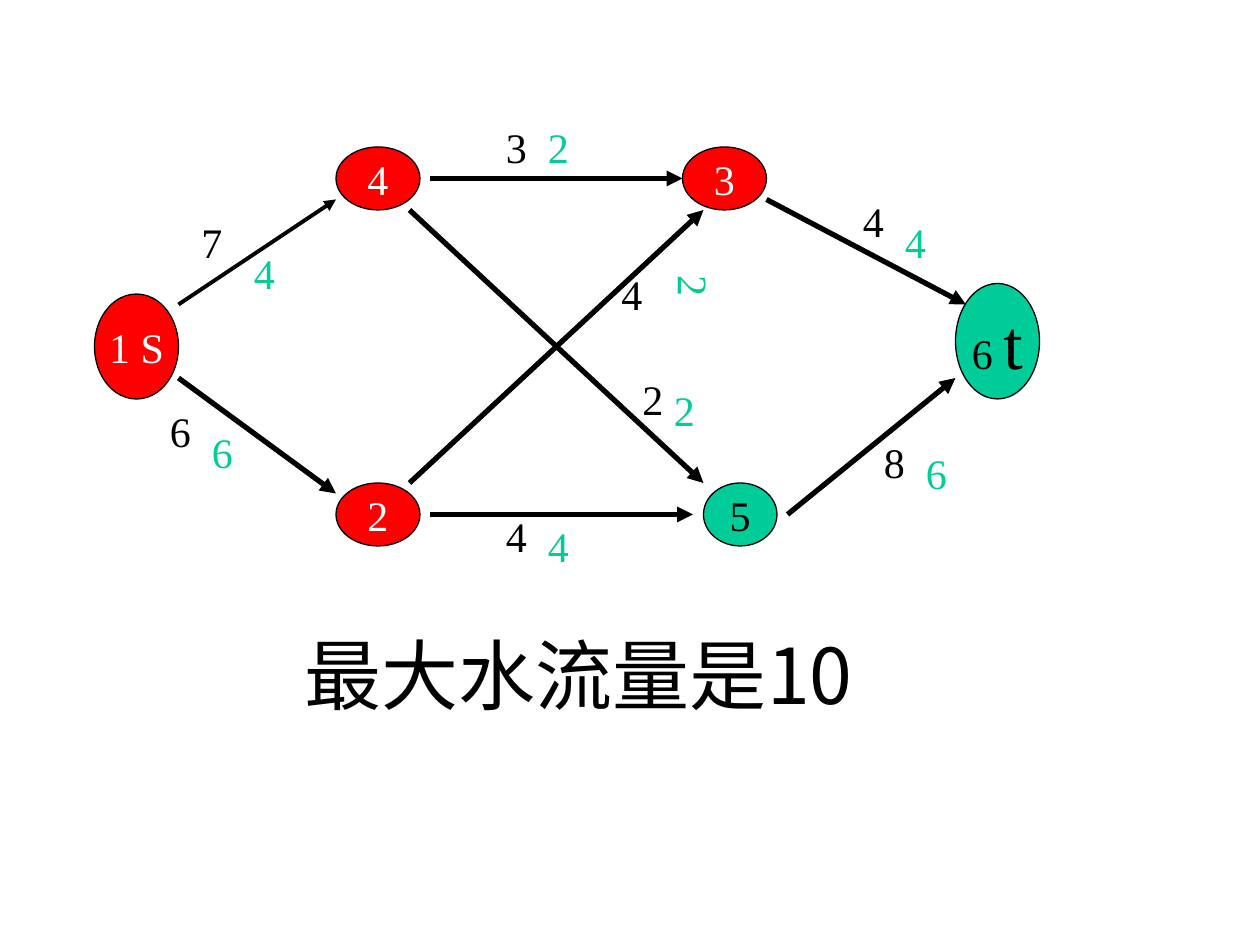
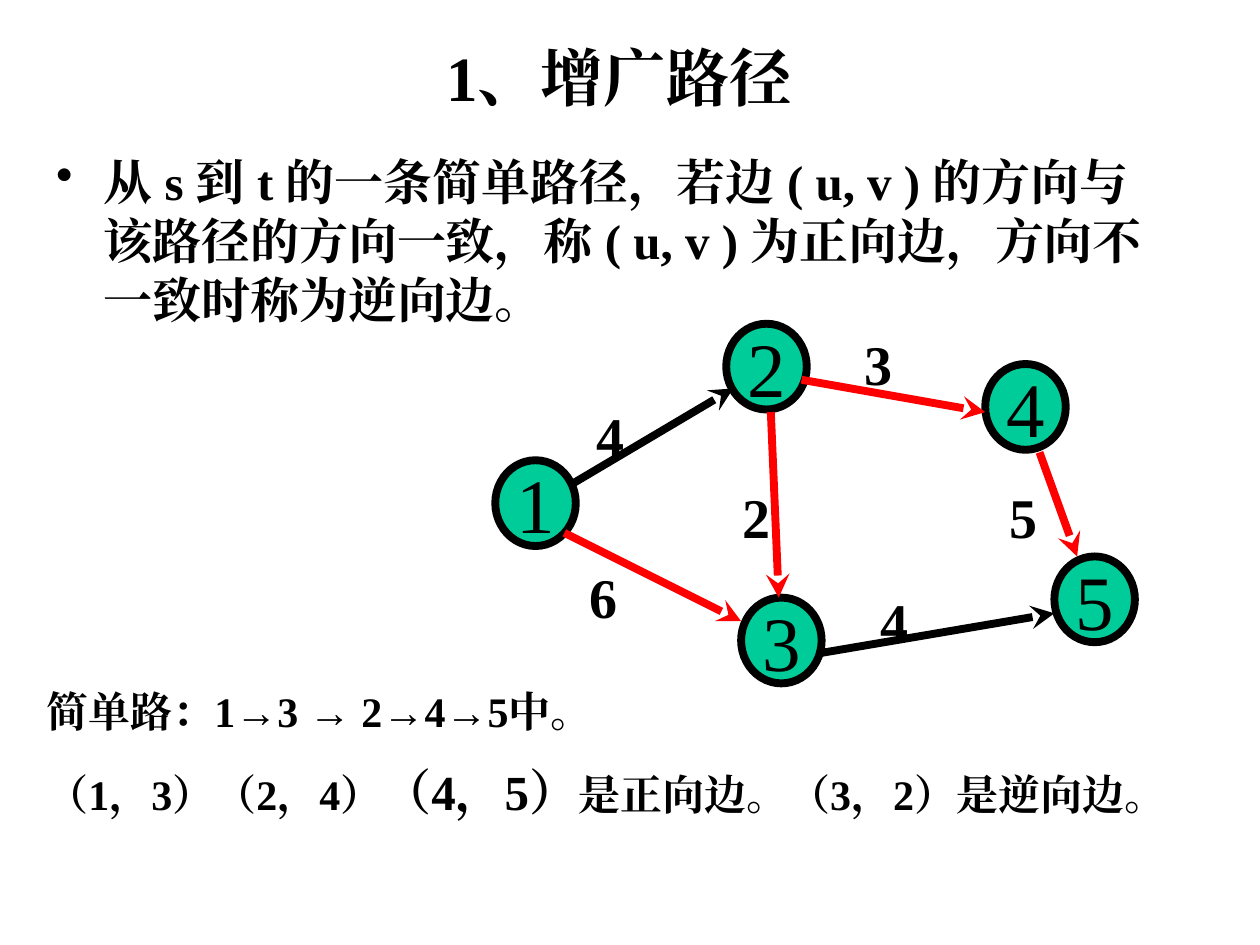
from lxml.etree import SubElement
from pptx import Presentation
from pptx.dml.color import RGBColor
from pptx.enum.shapes import MSO_CONNECTOR, MSO_SHAPE
from pptx.enum.text import MSO_ANCHOR, PP_ALIGN
from pptx.oxml.ns import qn
from pptx.util import Pt

COLORS = {"black": "000000", "white": "FFFFFF", "red": "FF0000", "green": "00CC99"}
SERIF, SANS, ARROW = "Times New Roman", "Noto Sans CJK SC", "Arial"

FLOW_NODES = [
    ([("1 S", 24)], (54, 168, 48, 60), "red", "white"),
    ([("4", 24)], (192, 84, 48, 36), "red", "white"),
    ([("3", 24)], (390, 84, 48, 36), "red", "white"),
    ([("2", 24)], (192, 276, 48, 36), "red", "white"),
    ([("5", 24)], (402, 276, 42, 36), "green", "black"),
    ([("6 ", 24), ("t", 40)], (546, 162, 48, 66), "green", "black"),
]
FLOW_EDGES = [
    ((102, 174), (192, 114), 2.25),
    ((102, 216), (192, 282), 3),
    ((246, 294), (396, 294), 3),
    ((246, 102), (390, 102), 3),
    ((438, 114), (552, 174), 3),
    ((450, 294), (546, 216), 3),
    ((234, 120), (402, 276), 3),
    ((234, 276), (402, 120), 3),
]
CAPACITIES = [
    ("7", 108, 120, 36), ("3", 282, 66, 66), ("4", 282, 288, 84), ("8", 498, 246, 66),
    ("4", 486, 108, 60), ("2", 360, 210, 78), ("4", 348, 150, 48), ("6", 90, 228, 54),
]
FLOWS = [
    ("4", 138, 138, 36), ("6", 114, 240, 26), ("2", 306, 66, 48), ("2", 378, 216, 26),
    ("4", 306, 294, 26), ("4", 510, 120, 26), ("6", 522, 252, 26),
]
SIDEWAYS_FLOW = ("2", (372, 150, 43, 42))
MAX_FLOW = "最大水流量是10"

TITLE = "1、增广路径"
DEFINITION = ("从 s 到 t 的一条简单路径，若边 ( u, v ) 的方向与该路径的方向一致，"
              "称 ( u, v ) 为正向边，方向不一致时称为逆向边。")
SIMPLE_PATH = ["简单路：1", "→", "3 ", "→", " 2", "→", "4", "→", "5中。"]
EDGE_KINDS = [("（1，3）（2，4）", 24), ("（4，5）", 28), ("是正向边。（3，2）是逆向边。", 24)]
PATH_NODES = [("1", 283, 263), ("2", 415, 185), ("4", 563, 208),
              ("3", 423.5, 341.5), ("5", 602.5, 318)]
PATH_EDGES = [
    ((327, 276.5), (419, 222), "black"),
    ((322.5, 304.5), (423.5, 355), "red"),
    ((458, 217), (563, 235.5), "red"),
    ((594, 258.5), (615.5, 318), "red"),
    ((440.5, 235.5), (445, 341.5), "red"),
    ((467, 373.5), (602.5, 350.5), "black"),
]
PATH_WEIGHTS = [("5", 570, 272), ("6", 330, 318), ("4", 334, 226),
                ("2", 417, 272), ("3", 487, 185), ("4", 496, 332)]


def rgb(color):
    return RGBColor.from_string(COLORS[color])


def style(font, size, color="black", bold=False, face=SERIF):
    font.size, font.bold, font.name = Pt(size), bold, face
    font.color.rgb = rgb(color)


def add_runs(paragraph, runs, color="black", bold=False):
    for text, size, *face in runs:
        run = paragraph.add_run()
        run.text = text
        style(run.font, size, color, bold, *face)
        set_east_asian(run, run.font.name)


def set_east_asian(run, face):
    latin = run._r.get_or_add_rPr().find(qn("a:latin"))
    east_asian = latin.makeelement(qn("a:ea"), {"typeface": face})
    latin.addnext(east_asian)


def add_text(slide, box, runs, color="black", bold=False):
    frame = slide.shapes.add_textbox(*map(Pt, box)).text_frame
    frame.word_wrap = True
    add_runs(frame.paragraphs[0], runs, color, bold)
    return frame


def add_node(slide, runs, box, fill, color, border):
    node = slide.shapes.add_shape(MSO_SHAPE.OVAL, *map(Pt, box))
    node.shadow.inherit = False
    node.fill.solid()
    node.fill.fore_color.rgb = rgb(fill)
    node.line.color.rgb = rgb("black")
    node.line.width = Pt(border)
    frame = node.text_frame
    frame.word_wrap = False
    frame.vertical_anchor = MSO_ANCHOR.MIDDLE
    frame.paragraphs[0].alignment = PP_ALIGN.CENTER
    add_runs(frame.paragraphs[0], runs, color)


def add_edge(slide, start, end, color, width, head):
    edge = slide.shapes.add_connector(MSO_CONNECTOR.STRAIGHT, *map(Pt, start + end))
    edge.line.color.rgb = rgb(color)
    edge.line.width = Pt(width)
    SubElement(edge.line._get_or_add_ln(), qn("a:tailEnd"), type=head)
    SubElement(edge._element.spPr, qn("a:effectLst"))


def build_max_flow(slide):
    for runs, box, fill, color in FLOW_NODES:
        add_node(slide, runs, box, fill, color, 0.75)
    for start, end, width in FLOW_EDGES:
        add_edge(slide, start, end, "black", width, "triangle")
    for labels, color in ((CAPACITIES, "black"), (FLOWS, "green")):
        for amount, left, top, width in labels:
            add_text(slide, (left, top, width, 36), [(amount, 24)], color)
    amount, box = SIDEWAYS_FLOW
    sideways = add_text(slide, box, [(amount, 24)], "green")
    sideways.margin_left = sideways.margin_right = Pt(3.6)
    sideways.margin_top = sideways.margin_bottom = Pt(7.2)
    sideways._txBody.bodyPr.set("vert", "eaVert")
    add_text(slide, (167, 355, 384, 60), [(MAX_FLOW, 44, SANS)])


def build_augmenting_path(slide):
    title = add_text(slide, (48, 9.5, 612, 68.5), [(TITLE, 36)], bold=True)
    title.vertical_anchor = MSO_ANCHOR.MIDDLE
    title.paragraphs[0].alignment = PP_ALIGN.CENTER

    definition = add_text(slide, (25, 83, 641.5, 136), [(DEFINITION, 28)], bold=True)
    properties = definition.paragraphs[0]._p.get_or_add_pPr()
    properties.set("marL", str(Pt(27)))
    properties.set("indent", str(-Pt(27)))
    SubElement(properties, qn("a:buChar"), char="•")

    steps = [(step, 24, ARROW if step == "→" else SERIF) for step in SIMPLE_PATH]
    explanation = add_text(slide, (19.5, 388, 689, 114), steps, bold=True)
    edge_kinds = explanation.add_paragraph()
    edge_kinds.space_before = Pt(15)
    add_runs(edge_kinds, EDGE_KINDS, bold=True)

    for number, left, top in PATH_NODES:
        add_node(slide, [(number, 44)], (left, top, 46, 49), "green", "black", 4.5)
    for start, end, color in PATH_EDGES:
        add_edge(slide, start, end, color, 4.5, "stealth")
    for weight, left, top in PATH_WEIGHTS:
        add_text(slide, (left, top, 26, 46), [(weight, 32)], bold=True)


def main():
    deck = Presentation()
    deck.slide_width, deck.slide_height = Pt(720), Pt(540)
    for build in (build_max_flow, build_augmenting_path):
        build(deck.slides.add_slide(deck.slide_layouts[6]))
    deck.save("out.pptx")


if __name__ == "__main__":
    main()
